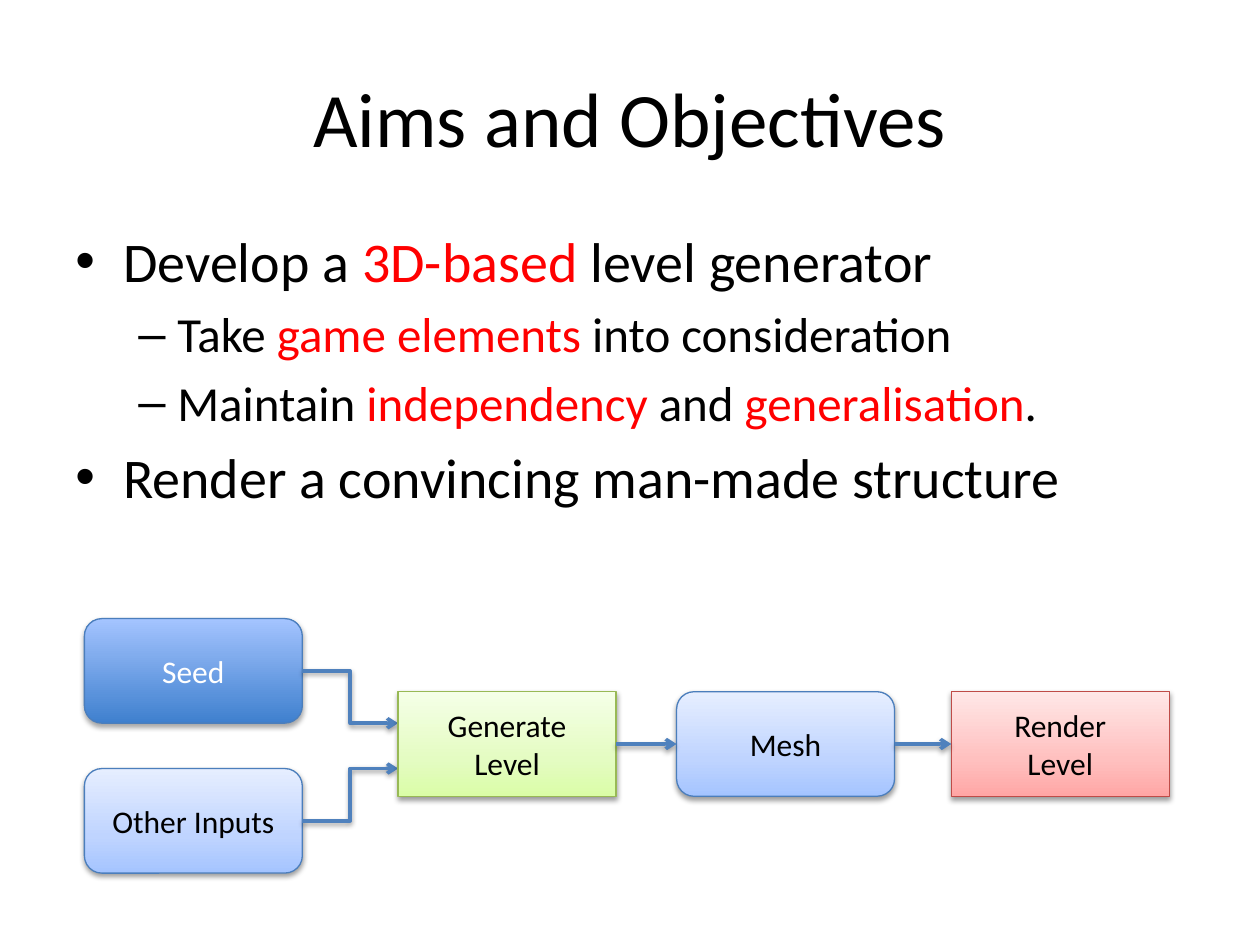
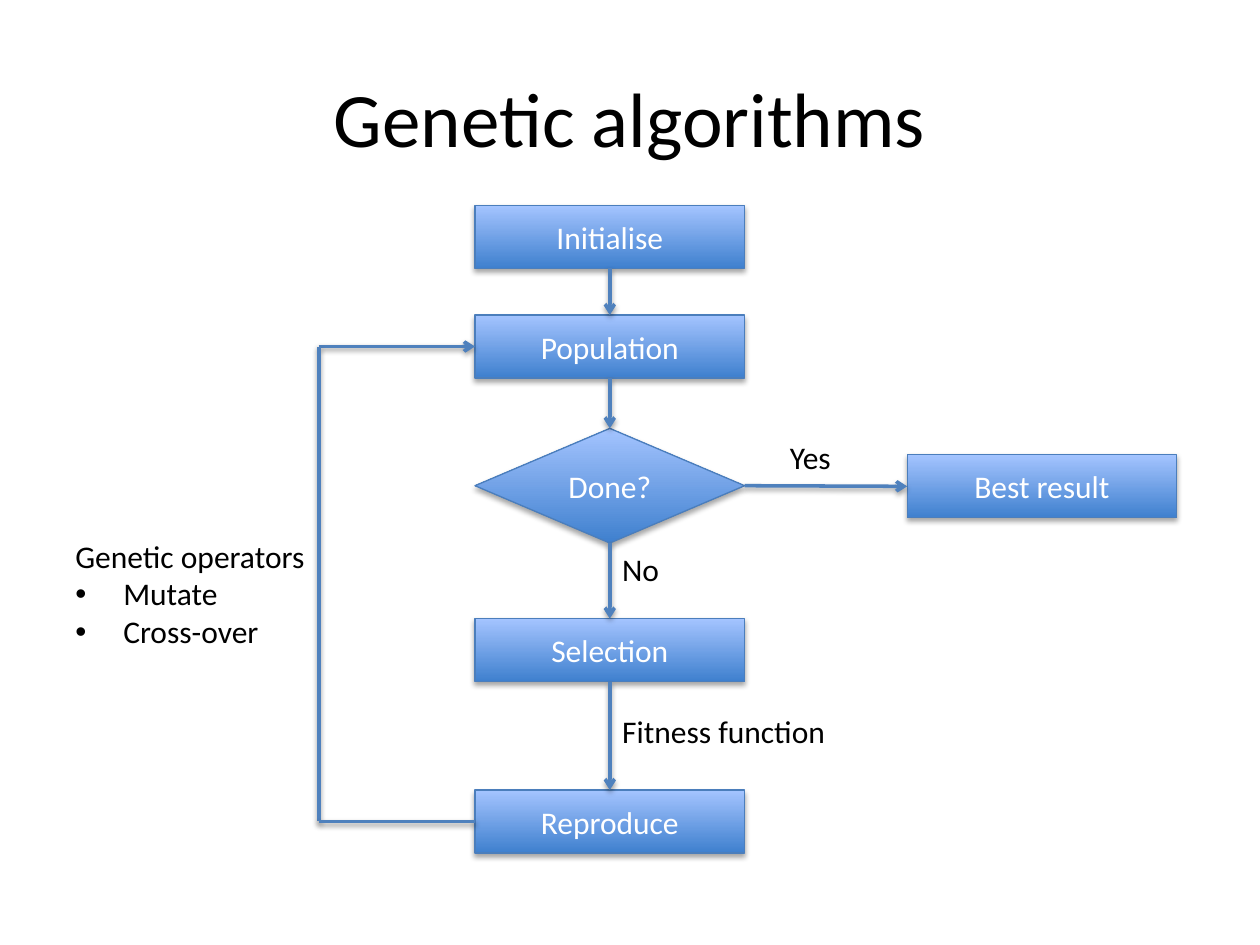
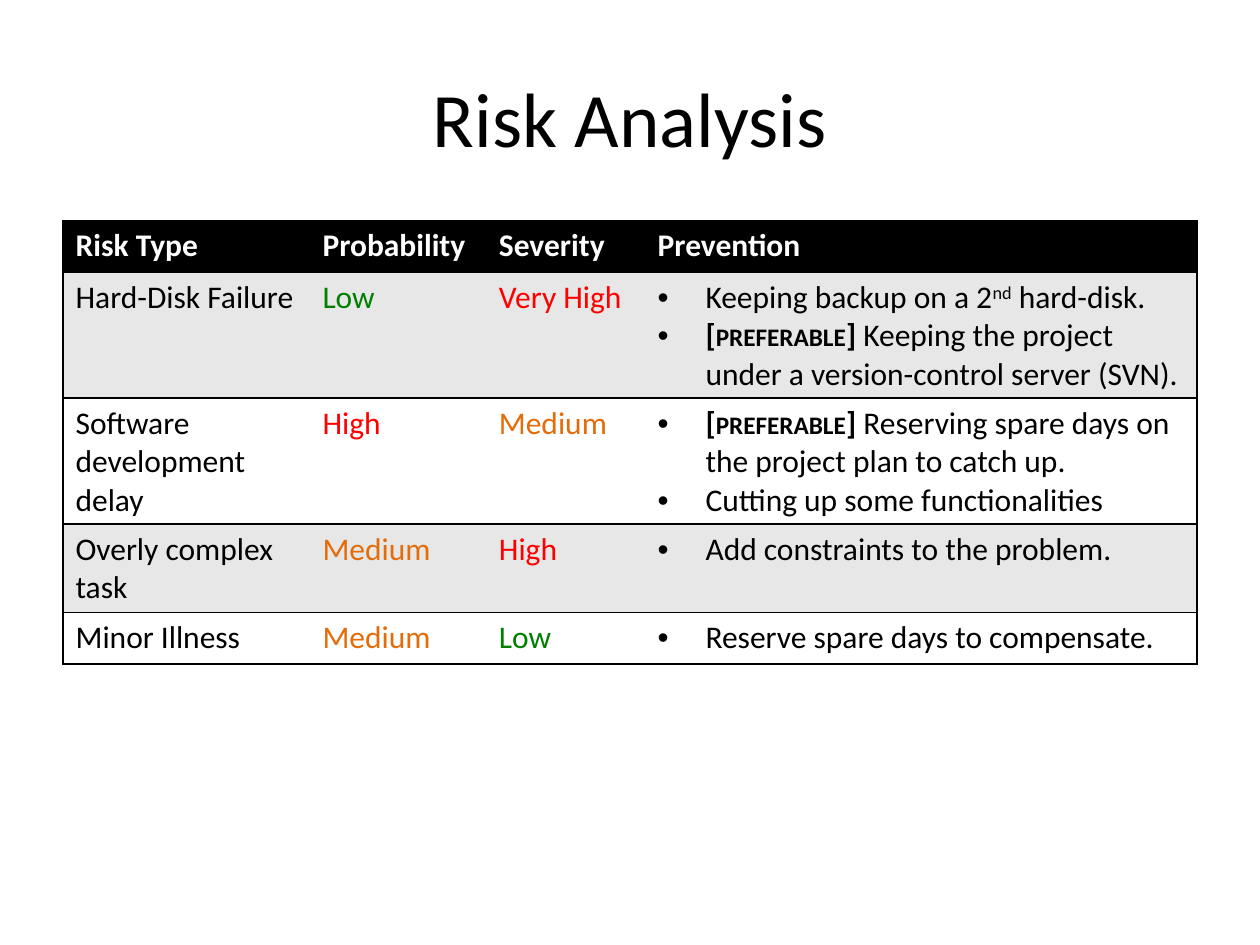
from lxml import etree
from pptx import Presentation
from pptx import util as u
from pptx.dml.color import RGBColor
from pptx.enum import shapes, text
from pptx.oxml import ns

COLUMNS, ROWS = 10, 7.5
MARGIN = 0.5
FONT = "Calibri"
BLACK = RGBColor(0x00, 0x00, 0x00)
WHITE = RGBColor(0xFF, 0xFF, 0xFF)
BAND = RGBColor(0xE7, 0xE7, 0xE7)
RED = RGBColor(0xFF, 0x00, 0x00)
GREEN = RGBColor(0x00, 0x80, 0x00)
ORANGE = RGBColor(0xE4, 0x6C, 0x0A)
ARROW_BLUE = RGBColor(0x4F, 0x81, 0xBD)
EDGE_BLUE = RGBColor(0x4B, 0x7E, 0xBC)
EDGE_GREEN = RGBColor(0x98, 0xB9, 0x55)
EDGE_RED = RGBColor(0xBF, 0x4C, 0x48)
DEEP_BLUE = RGBColor(0x3F, 0x80, 0xCE)
SOFT_BLUE = RGBColor(0xA4, 0xC4, 0xFF)

STRONG = (((0, DEEP_BLUE), (100, SOFT_BLUE)), EDGE_BLUE, WHITE)
PALE_BLUE = (((0, SOFT_BLUE), (35, RGBColor(0xBF, 0xD4, 0xFF)),
              (100, RGBColor(0xE6, 0xEE, 0xFF))), EDGE_BLUE, BLACK)
PALE_GREEN = (((0, RGBColor(0xDA, 0xFD, 0xA7)), (35, RGBColor(0xE4, 0xFC, 0xC2)),
               (100, RGBColor(0xF5, 0xFF, 0xE7))), EDGE_GREEN, BLACK)
PALE_RED = (((0, RGBColor(0xFF, 0xA6, 0xA5)), (35, RGBColor(0xFF, 0xC0, 0xBF)),
             (100, RGBColor(0xFF, 0xE7, 0xE7))), EDGE_RED, BLACK)
TOP, LEFT, BOTTOM, RIGHT = range(4)
RATINGS = {"Low": GREEN, "Medium": ORANGE, "High": RED, "Very High": RED}


def grid(*cells):
    """Turn grid cells into slide lengths."""
    return [u.Inches(cell) for cell in cells]


def child(parent, tag, **attributes):
    """Append a drawing element with the given attributes."""
    values = {key: str(value) for key, value in attributes.items()}
    return etree.SubElement(parent, ns.qn(tag), values)


def tint(parent, colour):
    """Append a colour element."""
    return child(parent, "a:srgbClr", val=colour)


def cast_shadow(effects, opacity, distance):
    """Add a soft shadow that falls straight down."""
    shadow = child(effects, "a:outerShdw", blurRad=u.Pt(3.1), dist=u.Pt(distance),
                   dir=90 * 60000, rotWithShape=0)
    child(tint(shadow, BLACK), "a:alpha", val=opacity * 1000)


def add_span(para, words, size, colour, bold=False, small=False, raised=False):
    """Add one run of text to a paragraph."""
    span = para.add_run()
    span.text = words
    font = span.font
    font.name, font.size, font.bold = FONT, u.Pt(size), bold
    font.color.rgb = colour
    if small:
        span._r.get_or_add_rPr().set("cap", "small")
    if raised:
        span._r.get_or_add_rPr().set("baseline", "30000")


def write(frame, lines, size=18, colour=BLACK, align=None, bold=False):
    """Write lines, each a string or a list of (words, style) spans."""
    for index, line in enumerate(lines):
        para = frame.add_paragraph() if index else frame.paragraphs[0]
        para.alignment = align
        spans = [(line, {})] if isinstance(line, str) else line
        for words, style in spans:
            add_span(para, words, **{"size": size, "colour": colour, "bold": bold, **style})
    return frame.paragraphs


def add_bullet(para, mark="•", indent=0.38, hanging=0.38):
    """Give a paragraph a hanging bullet."""
    props = para._p.get_or_add_pPr()
    props.set("marL", str(u.Inches(indent)))
    props.set("indent", str(-u.Inches(hanging)))
    child(props, "a:buFont", typeface="Arial")
    child(props, "a:buChar", char=mark)


def add_text(page, place, lines, wrap=True, **style):
    """Add a text box and return it with its paragraphs."""
    box = page.shapes.add_textbox(*grid(*place))
    box.text_frame.word_wrap = wrap
    if not wrap:
        box.text_frame.auto_size = text.MSO_AUTO_SIZE.SHAPE_TO_FIT_TEXT
    return box, write(box.text_frame, lines, **style)


def add_page(deck, title):
    """Add a blank page with the shared title."""
    page = deck.slides.add_slide(deck.slide_layouts[6])
    box, _ = add_text(page, (MARGIN, 0.3, COLUMNS - 2 * MARGIN, 1.25), [title],
                      size=44, align=text.PP_ALIGN.CENTER)
    box.text_frame.vertical_anchor = text.MSO_ANCHOR.MIDDLE
    return page


def add_step(page, kind, place, lines, look=STRONG):
    """Add a shaded diagram step with centred text."""
    stops, edge, ink = look
    box = page.shapes.add_shape(kind, *grid(*place))
    box.fill.gradient()
    box.fill.gradient_angle = 90
    stop_list = box._element.spPr.find(".//" + ns.qn("a:gsLst"))
    stop_list.clear()
    for position, colour in stops:
        tint(child(stop_list, "a:gs", pos=position * 1000), colour)
    box.line.color.rgb, box.line.width = edge, u.Pt(0.75)
    box.shadow.inherit = False
    effects = box._element.spPr.find(ns.qn("a:effectLst"))
    cast_shadow(effects, *((35, 1.8) if look is STRONG else (38, 1.6)))
    box.text_frame.word_wrap = True
    box.text_frame.vertical_anchor = text.MSO_ANCHOR.MIDDLE
    write(box.text_frame, lines, colour=ink, align=text.PP_ALIGN.CENTER)
    return box


def add_link(page, start, end, arrow=True, kind=shapes.MSO_CONNECTOR.STRAIGHT):
    """Draw a connector between two grid points."""
    link = page.shapes.add_connector(kind, *grid(*start, *end))
    link.line.color.rgb, link.line.width = ARROW_BLUE, u.Pt(2)
    if arrow:
        child(link.line._get_or_add_ln(), "a:tailEnd", type="arrow")
    cast_shadow(child(link._element.spPr, "a:effectLst"), 38, 1.6)
    return link


def join(page, source, out_side, target, in_side):
    """Draw an arrow that is joined to two steps."""
    link = add_link(page, (0, 0), (1, 1))
    link.begin_connect(source, out_side)
    link.end_connect(target, in_side)


def aims_page(deck):
    """Build the aims and their pipeline."""
    page = add_page(deck, "Aims and Objectives")
    red, minor = {"colour": RED}, {"size": 28}
    goals = [
        [("Develop a ", {}), ("3D-based", red), (" level generator", {})],
        [("Take ", minor), ("game elements", minor | red), (" into consideration", minor)],
        [("Maintain ", minor), ("independency ", minor | red), ("and ", minor),
         ("generalisation", minor | red), (".", minor)],
        "Render a convincing man-made structure",
    ]
    _, paras = add_text(page, (MARGIN, 1.75, COLUMNS - 2 * MARGIN, 4.95), goals, size=32)
    for para, level in zip(paras, (0, 1, 1, 0)):
        para.level = level
        para.space_before = u.Pt(5.6 if level else 6.4)
        add_bullet(para, *(("–", 0.81, 0.31) if level else ()))

    width, height, middle = 1.73, 0.83, 5.49
    rounded, square = shapes.MSO_SHAPE.ROUNDED_RECTANGLE, shapes.MSO_SHAPE.RECTANGLE
    input_left, generate_left = 0.67, 3.16
    inputs = ((6.1, 6.1, "Other Inputs", PALE_BLUE), (4.91, 5.74, "Seed", STRONG))
    for top, entry, label, look in inputs:
        add_step(page, rounded, (input_left, top, width, height), [label], look)
        add_link(page, (input_left + width, top + height / 2), (generate_left, entry),
                 kind=shapes.MSO_CONNECTOR.ELBOW)
    stages = ((square, generate_left, ["Generate", "Level"], PALE_GREEN),
              (rounded, 5.37, ["Mesh"], PALE_BLUE),
              (square, 7.55, ["Render", "Level"], PALE_RED))
    boxes = [add_step(page, kind, (left, middle, width, height), lines, look)
             for kind, left, lines, look in stages]
    for source, target in zip(boxes, boxes[1:]):
        join(page, source, RIGHT, target, LEFT)


def genetic_page(deck):
    """Build the genetic algorithm flowchart."""
    page = add_page(deck, "Genetic algorithms")
    left, width, height, loop_left = 3.77, 2.14, 0.5, 2.53
    process, decision = shapes.MSO_SHAPE.FLOWCHART_PROCESS, shapes.MSO_SHAPE.FLOWCHART_DECISION
    steps = (("Initialise", process, 1.63, height), ("Population", process, 2.5, height),
             ("Done?", decision, 3.4, 0.91), ("Selection", process, 4.91, height),
             ("Reproduce", process, 6.27, height))
    boxes = [add_step(page, kind, (left, top, width, tall), [label])
             for label, kind, top, tall in steps]
    for source, target in zip(boxes, boxes[1:]):
        join(page, source, BOTTOM, target, TOP)
    _, population, done, _, reproduce = boxes
    best = add_step(page, process, (7.2, 3.61, width, height), ["Best result"])
    join(page, done, RIGHT, best, LEFT)

    loop_top, loop_bottom = (loop_left, 2.75), (loop_left, 6.52)
    add_link(page, loop_top, (left, 2.75)).end_connect(population, LEFT)
    add_link(page, loop_top, loop_bottom, arrow=False)
    add_link(page, loop_bottom, (left, 6.52), arrow=False).end_connect(reproduce, LEFT)

    centre = left + width / 2
    labels = (("Fitness function", centre, 5.6, 1.83), ("No", centre, 4.32, 0.5),
              ("Yes", 6.17, 3.43, 0.53))
    for label, x, y, wide in labels:
        add_text(page, (x, y, wide, 0.4), [label], wrap=False)
    _, paras = add_text(page, (MARGIN, 4.21, 2.11, 1.01),
                        ["Genetic operators", "Mutate", "Cross-over"], wrap=False)
    for para in paras[1:]:
        add_bullet(para)


def set_borders(cell, first, last):
    """Rule a cell above and below, and at the table's outer sides."""
    props = cell._tc.get_or_add_tcPr()
    sides = (("a:lnL", first), ("a:lnR", last), ("a:lnT", True), ("a:lnB", True))
    for index, (tag, ruled) in enumerate(sides):
        edge = child(props, tag, w=u.Pt(1))
        if ruled:
            tint(child(edge, "a:solidFill"), BLACK)
        else:
            child(edge, "a:noFill")
        props.insert(index, edge)


def risk_page(deck):
    """Build the risk table."""
    page = add_page(deck, "Risk Analysis")
    bold = {"bold": True}
    preferable = [("[", bold), ("preferable", bold | {"small": True}), ("] ", bold)]
    headings = ("Risk Type", "Probability", "Severity", "Prevention")
    risks = (
        ("Hard-Disk Failure", "Low", "Very High", [
            [("Keeping backup on a 2", {}), ("nd", {"raised": True}), (" hard-disk.", {})],
            preferable + [("Keeping the project under a version-control server (SVN).", {})]]),
        ("Software development delay", "High", "Medium", [
            preferable + [("Reserving spare days on the project plan to catch up.", {})],
            "Cutting up some functionalities"]),
        ("Overly complex task", "Medium", "High", ["Add constraints to the problem."]),
        ("Minor Illness", "Medium", "Low", ["Reserve spare days to compensate."]),
    )
    widths, row_height = (1.96, 1.4, 1.26, 4.38), 0.41
    rows = (headings,) + risks
    table = page.shapes.add_table(len(rows), len(widths), *grid(
        MARGIN, 1.75, sum(widths), row_height * len(rows))).table
    for column, width in zip(table.columns, grid(*widths)):
        column.width = width
    for r, row in enumerate(rows):
        for c, content in enumerate(row):
            cell = table.cell(r, c)
            cell.fill.solid()
            cell.fill.fore_color.rgb = BAND if r % 2 else WHITE if r else BLACK
            set_borders(cell, c == 0, c == len(widths) - 1)
            listed = isinstance(content, list)
            colour = BLACK if listed else RATINGS.get(content, BLACK)
            paras = write(cell.text_frame, content if listed else [content],
                          colour=colour if r else WHITE, bold=r == 0)
            for para in paras if listed else ():
                add_bullet(para)


def main():
    """Build and save the deck."""
    deck = Presentation()
    deck.slide_width, deck.slide_height = grid(COLUMNS, ROWS)
    aims_page(deck)
    genetic_page(deck)
    risk_page(deck)
    deck.save("out.pptx")


if __name__ == "__main__":
    main()
